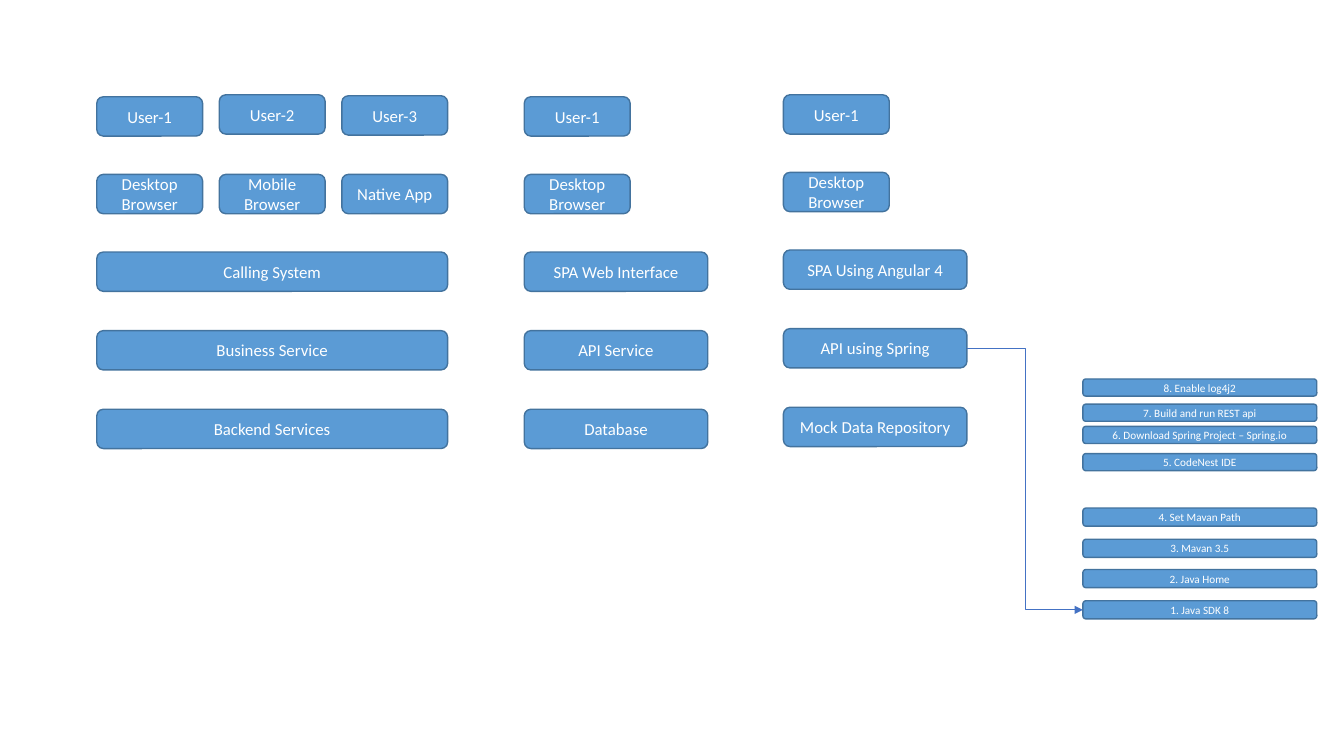
from lxml.etree import SubElement
from pptx import Presentation
from pptx.dml.color import RGBColor
from pptx.enum.shapes import MSO_CONNECTOR as LINK, MSO_SHAPE as SHAPE
from pptx.enum.text import MSO_ANCHOR as ANCHOR, PP_ALIGN as ALIGN
from pptx.oxml.ns import qn
from pptx.util import Inches, Pt

BLUE, EDGE, WIRE, WHITE = "5B9BD5", "43739E", "4472C4", "FFFFFF"
USER_W, USER_STEP, BOX_H = 1.05, 1.215, 0.39
TIER_TOP, TIER_STEP = 2.5, 0.78

# left, tier width, shift of the lower rows, users (name, top), clients, tiers
STACKS = [
    (0.96, 3.48, 0, [("User-1", 0.96), ("User-2", 0.94), ("User-3", 0.95)],
     ["Desktop Browser", "Mobile Browser", "Native App"],
     ["Calling System", "Business Service", "Backend Services"]),
    (5.2, 1.82, 0, [("User-1", 0.96)], ["Desktop Browser"],
     ["SPA Web Interface", "API Service", "Database"]),
    (7.77, 1.82, -0.02, [("User-1", 0.94)], ["Desktop Browser"],
     ["SPA Using Angular 4", "API using Spring", "Mock Data Repository"]),
]
# label, top, height
STEPS = [
    ("1. Java SDK 8", 5.96, 0.18),
    ("2. Java Home", 5.65, 0.18),
    ("3. Mavan 3.5", 5.35, 0.18),
    ("4. Set Mavan Path", 5.04, 0.18),
    ("5. CodeNest IDE", 4.5, 0.17),
    ("6. Download Spring Project – Spring.io", 4.23, 0.17),
    ("7. Build and run REST api", 4.01, 0.17),
    ("8. Enable log4j2", 3.76, 0.17),
]


def paint(color, code):
    """Set a colour format from a hex string."""
    color.rgb = RGBColor.from_string(code)


def add_box(slide, text, left, top, width, height=BOX_H, size=12):
    """Add a rounded blue box with a centred white label."""
    box = slide.shapes.add_shape(SHAPE.ROUNDED_RECTANGLE, Inches(left),
                                 Inches(top), Inches(width), Inches(height))
    box.shadow.inherit = False
    box.fill.solid()
    paint(box.fill.fore_color, BLUE)
    paint(box.line.color, EDGE)
    box.line.width = Pt(1)
    frame = box.text_frame
    frame.word_wrap = True
    frame.vertical_anchor = ANCHOR.MIDDLE
    para = frame.paragraphs[0]
    para.alignment = ALIGN.CENTER
    run = para.add_run()
    run.text = text
    run.font.name = "Calibri"
    run.font.size = Pt(size)
    paint(run.font.color, WHITE)
    return box


def add_stack(slide, left, width, shift, users, clients, tiers):
    """Add users, clients and tiers of one system; return the tier boxes."""
    for i, (user, top) in enumerate(users):
        add_box(slide, user, left + i * USER_STEP, top, USER_W)
    for i, client in enumerate(clients):
        add_box(slide, client, left + i * USER_STEP, 1.73 + shift, USER_W)
    return [add_box(slide, tier, left, TIER_TOP + shift + i * TIER_STEP, width)
            for i, tier in enumerate(tiers)]


def add_arrow(slide, start, end):
    """Join the right side of one box to the left side of another."""
    wire = slide.shapes.add_connector(LINK.ELBOW, 0, 0, 0, 0)
    wire.begin_connect(start, 3)
    wire.end_connect(end, 1)
    paint(wire.line.color, WIRE)
    wire.line.width = Pt(0.5)
    SubElement(wire.line._get_or_add_ln(), qn("a:tailEnd"), type="triangle")
    SubElement(wire._element.spPr, qn("a:effectLst"))


def main():
    """Build the slide and save it."""
    deck = Presentation()
    deck.slide_width, deck.slide_height = Inches(13.33), Inches(7.5)
    slide = deck.slides.add_slide(deck.slide_layouts[6])
    stacks = [add_stack(slide, *stack) for stack in STACKS]
    steps = [add_box(slide, text, 10.74, top, 2.32, height, 8)
             for text, top, height in STEPS]
    add_arrow(slide, stacks[-1][1], steps[0])
    deck.save("out.pptx")


main()
